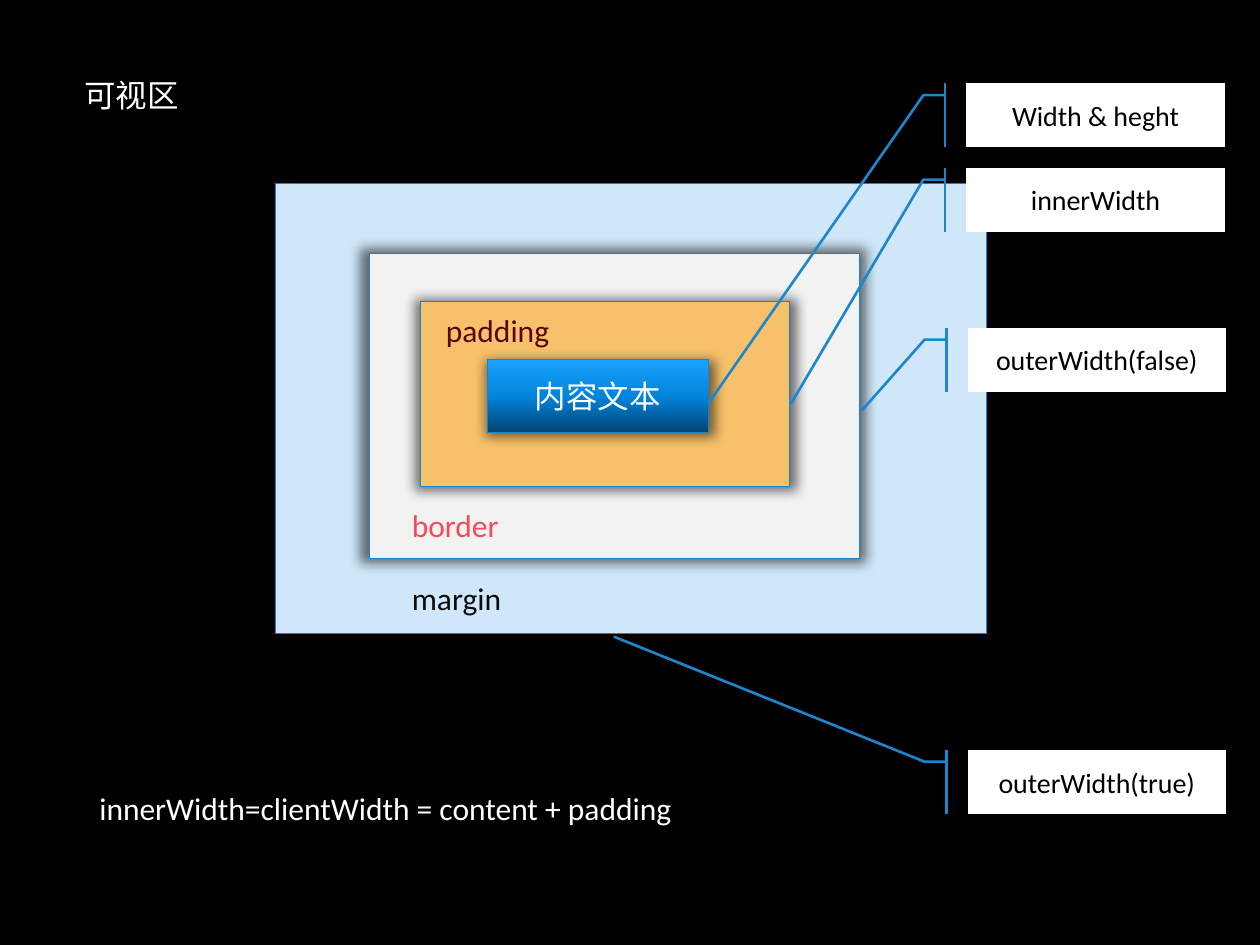
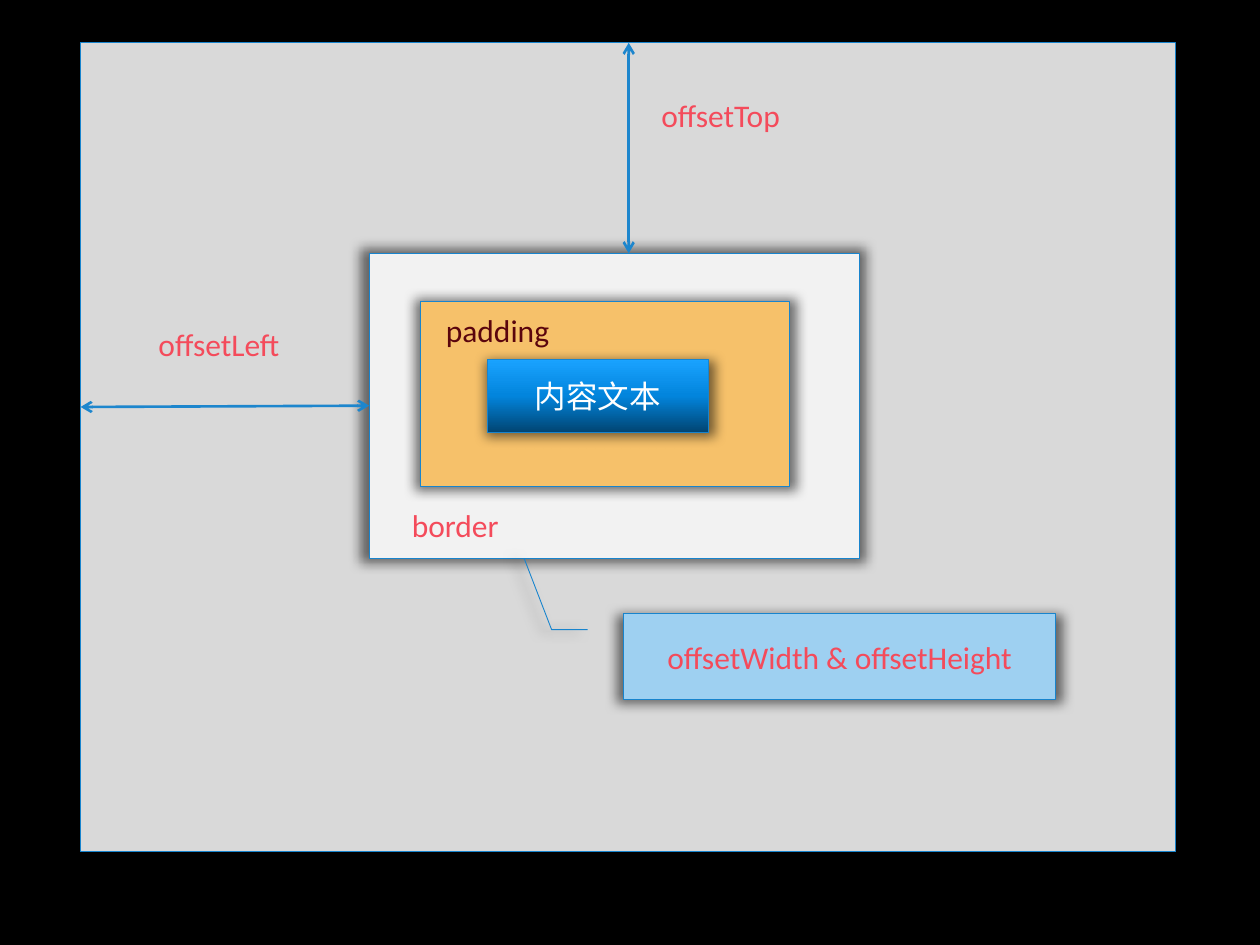
from dataclasses import dataclass
from copy import deepcopy
from typing import Any, NamedTuple

from pptx import Presentation
from pptx.dml.color import RGBColor
from pptx.enum.shapes import MSO_CONNECTOR, MSO_SHAPE
from pptx.enum.text import MSO_ANCHOR, MSO_AUTO_SIZE, PP_ALIGN
from pptx.oxml.ns import qn
from pptx.util import Inches, Pt
from lxml.etree import SubElement


@dataclass(frozen=True)
class Theme:
    font: str = "Calibri"
    text_size: int = 18
    callout_size: int = 16
    thin: float = 0.5
    thick: float = 1.5
    background: str = "000000"
    white: str = "FFFFFF"
    black: str = "000000"
    edge: str = "1884CD"
    pointer: str = "1D86CD"
    margin: str = "CFE7F8"
    margin_text: str = "0D0D0D"
    border: str = "F2F2F2"
    accent_text: str = "F44B5B"
    padding: str = "F6C16A"
    padding_text: str = "5A050D"
    viewport: str = "D9D9D9"
    offset_callout: str = "9ED0F1"
    content: tuple = ((0, "014573"), (0.5, "0285DD"), (1, "1AA3FF"))


THEME = Theme()


class Area(NamedTuple):
    left: float
    top: float
    width: float
    height: float


class Label(NamedTuple):
    text: str
    area: Area
    color: str
    wrap: bool = False


class Layer(NamedTuple):
    area: Area
    fill: str
    label: Label | None = None


class Callout(NamedTuple):
    text: str
    left: float
    top: float
    tip_y: float
    tip_x: float


CALLOUT_WIDTH, CALLOUT_HEIGHT = 2.05, 0.51
CONTENT_AREA = Area(3.87, 2.85, 1.75, 0.58)

MARGIN = Layer(Area(2.19, 1.46, 5.64, 3.57), THEME.margin,
               Label("margin", Area(3.17, 4.55, 0.96, 0.4), THEME.margin_text))
BORDER = Layer(Area(2.93, 2.01, 3.89, 2.42), THEME.border,
               Label("border", Area(3.17, 3.97, 0.96, 0.4), THEME.accent_text))
PADDING = Layer(Area(3.34, 2.39, 2.93, 1.47), THEME.padding,
                Label("padding", Area(3.44, 2.42, 1.09, 0.4), THEME.padding_text))
VIEWPORT = Layer(Area(0.64, 0.34, 8.69, 6.42), THEME.viewport)

HEADING = Label("可视区", Area(0.57, 0.55, 0.96, 0.4), THEME.white)
FORMULA = Label("innerWidth=clientWidth = content + padding",
                Area(0.69, 6.21, 5.12, 0.4), THEME.white)
SIZE_CALLOUTS = (
    Callout("Width & heght", 7.67, 0.66, 4.99, -1),
    Callout("innerWidth", 7.67, 1.33, 3.68, -0.68),
    Callout("outerWidth(false)", 7.68, 2.6, 1.29, -0.41),
    Callout("outerWidth(true)", 7.68, 5.95, -1.76, -1.37),
)
OFFSET_LABELS = (
    Label("offsetTop", Area(5.15, 0.71, 1.19, 0.71), THEME.accent_text, True),
    Label("offsetLeft", Area(1.16, 2.53, 1.23, 0.71), THEME.accent_text, True),
)
OFFSET_ARROWS = (((4.99, 0.34), (4.99, 2.01)), ((2.93, 3.22), (0.64, 3.23)))


def apply_format(target: Any, values: dict[str, Any]) -> None:
    for name, value in values.items():
        setattr(target, name, value)


def inches(area: Area) -> list[int]:
    return [Inches(length) for length in area]


def write_text(shape: Any, text: str, color: str, size: int = THEME.text_size,
               align: Any = PP_ALIGN.LEFT, **frame_format: Any) -> None:
    frame = shape.text_frame
    apply_format(frame, frame_format)
    para = frame.paragraphs[0]
    para.alignment = align
    span = para.add_run()
    span.text = text
    apply_format(span.font, {"name": THEME.font, "size": Pt(size)})
    span.font.color.rgb = RGBColor.from_string(color)


def write_label(shape: Any, label: Label) -> None:
    write_text(shape, label.text, label.color, word_wrap=label.wrap,
               auto_size=MSO_AUTO_SIZE.SHAPE_TO_FIT_TEXT,
               vertical_anchor=MSO_ANCHOR.TOP)


def add_label(page: Any, label: Label) -> None:
    write_label(page.shapes.add_textbox(*inches(label.area)), label)


def write_centred(shape: Any, text: str, color: str, size: int = THEME.text_size) -> None:
    write_text(shape, text, color, size, PP_ALIGN.CENTER,
               word_wrap=True, vertical_anchor=MSO_ANCHOR.MIDDLE)


def set_line(shape: Any, color: str, width: float) -> None:
    shape.line.color.rgb = RGBColor.from_string(color)
    shape.line.width = Pt(width)


def add_figure(page: Any, kind: Any, area: Area, fill: str,
               line: str = THEME.edge, width: float = THEME.thin) -> Any:
    shape = page.shapes.add_shape(kind, *inches(area))
    shape.shadow.inherit = False
    shape.fill.solid()
    shape.fill.fore_color.rgb = RGBColor.from_string(fill)
    set_line(shape, line, width)
    return shape


def add_shadow(shape: Any) -> None:
    """Fill the empty effect list with a soft, slightly enlarged shadow."""
    effects = shape._element.spPr.find(qn("a:effectLst"))
    outer = SubElement(effects, qn("a:outerShdw"), {
        "blurRad": str(Pt(7)), "dist": str(Pt(4)), "dir": str(35 * 60000),
        "sx": "103000", "sy": "103000", "algn": "br", "rotWithShape": "0"})
    color = SubElement(outer, qn("a:srgbClr"), val=THEME.black)
    SubElement(color, qn("a:alpha"), val="55000")


def add_layer(page: Any, layer: Layer) -> None:
    add_shadow(add_figure(page, MSO_SHAPE.RECTANGLE, layer.area, layer.fill))
    if layer.label:
        add_label(page, layer.label)


def add_content(page: Any) -> None:
    shape = add_figure(page, MSO_SHAPE.RECTANGLE, CONTENT_AREA, THEME.padding)
    add_shadow(shape)
    shape.fill.gradient()
    shape.fill.gradient_angle = 90
    stop_list = next(shape._element.spPr.iter(qn("a:gsLst")))
    stop_list.append(deepcopy(stop_list[0]))
    for stop, (position, color) in zip(shape.fill.gradient_stops, THEME.content):
        stop.position = position
        stop.color.rgb = RGBColor.from_string(color)
    write_centred(shape, "内容文本", THEME.white)


def bend_pointer(shape: Any, tip_y: float, tip_x: float) -> None:
    for index, value in enumerate((0.1875, -0.0833, 0.1875, -0.1667, tip_y, tip_x)):
        shape.adjustments[index] = value


def add_size_callout(page: Any, callout: Callout) -> None:
    area = Area(callout.left, callout.top, CALLOUT_WIDTH, CALLOUT_HEIGHT)
    shape = add_figure(page, MSO_SHAPE.LINE_CALLOUT_2_ACCENT_BAR, area,
                       THEME.white, THEME.pointer, THEME.thick)
    bend_pointer(shape, callout.tip_y, callout.tip_x)
    write_centred(shape, callout.text, THEME.black, THEME.callout_size)


def add_offset_callout(page: Any) -> None:
    shape = add_figure(page, MSO_SHAPE.LINE_CALLOUT_2,
                       Area(4.95, 4.87, 3.43, 0.68), THEME.offset_callout)
    add_shadow(shape)
    bend_pointer(shape, -0.64, -0.23)
    write_centred(shape, "offsetWidth & offsetHeight", THEME.accent_text)


def add_double_arrow(page: Any, start: tuple[float, float],
                     end: tuple[float, float]) -> None:
    ends = [Inches(length) for length in (*start, *end)]
    arrow = page.shapes.add_connector(MSO_CONNECTOR.STRAIGHT, *ends)
    set_line(arrow, THEME.pointer, THEME.thick)
    line = arrow.line._get_or_add_ln()
    for tag in ("a:headEnd", "a:tailEnd"):
        SubElement(line, qn(tag), type="arrow")
    SubElement(arrow._element.spPr, qn("a:effectLst"))


def add_page(deck: Any, layout_name: str) -> Any:
    page = deck.slides.add_slide(deck.slide_layouts.get_by_name(layout_name))
    page.background.fill.solid()
    page.background.fill.fore_color.rgb = RGBColor.from_string(THEME.background)
    return page


def add_box_model(page: Any, outermost: Layer) -> None:
    for layer in (outermost, BORDER, PADDING):
        add_layer(page, layer)
    add_content(page)


def build_size_page(deck: Any) -> None:
    page = add_page(deck, "Title Only")
    title = page.shapes.title
    apply_format(title, dict(zip(HEADING.area._fields, inches(HEADING.area))))
    write_label(title, HEADING)
    add_box_model(page, MARGIN)
    for callout in SIZE_CALLOUTS:
        add_size_callout(page, callout)
    add_label(page, FORMULA)


def build_offset_page(deck: Any) -> None:
    page = add_page(deck, "Blank")
    add_box_model(page, VIEWPORT)
    for start, end in OFFSET_ARROWS:
        add_double_arrow(page, start, end)
    for label in OFFSET_LABELS:
        add_label(page, label)
    add_offset_callout(page)


def main() -> None:
    deck = Presentation()
    apply_format(deck, {"slide_width": Inches(10), "slide_height": Inches(7.5)})
    build_size_page(deck)
    build_offset_page(deck)
    deck.save("out.pptx")


if __name__ == "__main__":
    main()
